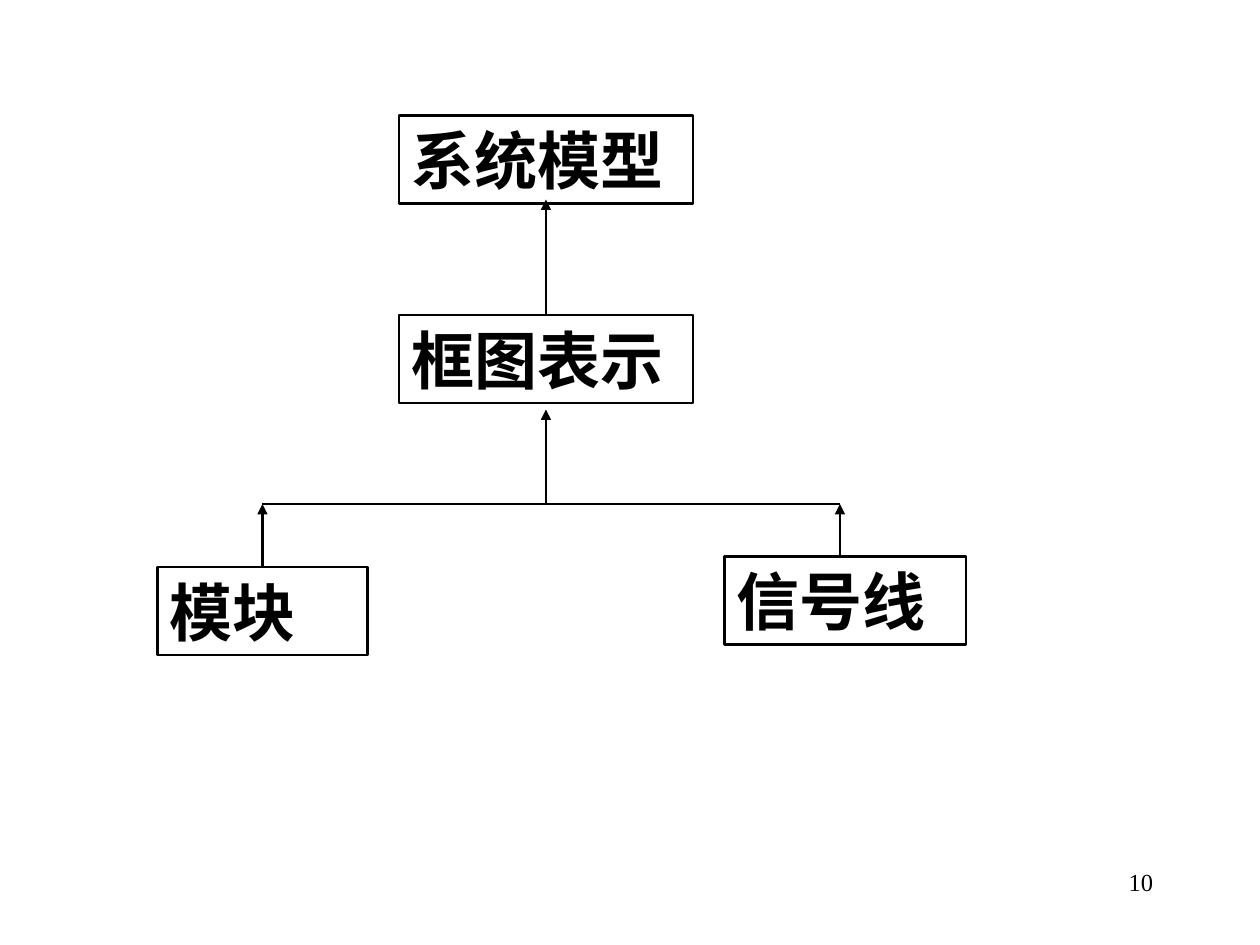
import pptx
import pptx.dml.color
import pptx.enum.shapes
import pptx.enum.text
import pptx.oxml
import pptx.util
from dataclasses import dataclass

Pt = pptx.util.Pt
ALIGN = pptx.enum.text.PP_ALIGN
TOP, BOTTOM = 0, 2


@dataclass(frozen=True)
class Theme:
    ink: pptx.dml.color.RGBColor = pptx.dml.color.RGBColor(0, 0, 0)
    font: str = "Times New Roman"
    node_size: float = 36
    number_size: float = 14
    line_width: float = 1.25
    node_height: float = 50.4


THEME = Theme()


def write(shape, text, size, bold=False, align=ALIGN.LEFT):
    frame = shape.text_frame
    frame.word_wrap = True
    frame.vertical_anchor = pptx.enum.text.MSO_ANCHOR.TOP
    paragraph = frame.paragraphs[0]
    paragraph.alignment = align
    run = paragraph.add_run()
    run.text = text
    run.font.name = THEME.font
    run.font.size = Pt(size)
    run.font.bold = bold
    run.font.color.rgb = THEME.ink


def add_node(slide, text, left, top, width):
    node = slide.shapes.add_shape(
        pptx.enum.shapes.MSO_SHAPE.RECTANGLE,
        Pt(left), Pt(top), Pt(width), Pt(THEME.node_height))
    node.shadow.inherit = False
    node.fill.background()
    node.line.color.rgb = THEME.ink
    node.line.width = Pt(THEME.line_width)
    write(node, text, THEME.node_size, bold=True)
    node.text_frame.auto_size = pptx.enum.text.MSO_AUTO_SIZE.SHAPE_TO_FIT_TEXT
    return node


def add_line(slide, start, end, arrow=True):
    line = slide.shapes.add_connector(
        pptx.enum.shapes.MSO_CONNECTOR.STRAIGHT,
        *(Pt(value) for value in (*start, *end)))
    line.line.color.rgb = THEME.ink
    line.line.width = Pt(THEME.line_width)
    if arrow:
        tail = pptx.oxml.parse_xml(
            '<a:tailEnd xmlns:a="http://schemas.openxmlformats.org/'
            'drawingml/2006/main" type="triangle"/>')
        line.line._get_or_add_ln().append(tail)
    line._element.spPr.append(pptx.oxml.parse_xml(
        '<a:effectLst xmlns:a="http://schemas.openxmlformats.org/'
        'drawingml/2006/main"/>'))
    return line


def add_hierarchy(slide, left, top):
    # Nodes
    trunk_x, bus_y = left + 222, top + 222
    module_x, signal_x = left + 60, left + 390
    add_node(slide, "系统模型", left + 138, top, 168)
    diagram = add_node(slide, "框图表示", left + 138, top + 114, 168)
    module = add_node(slide, "模块", left, top + 258, 120)
    add_node(slide, "信号线", left + 324, top + 252, 138)

    # Branches rising to the shared bus
    module_arrow = add_line(slide, (module_x, top + 258), (module_x, bus_y))
    module_arrow.begin_connect(module, TOP)
    add_line(slide, (signal_x, top + 252), (signal_x, bus_y))
    add_line(slide, (module_x, bus_y), (signal_x, bus_y), arrow=False)

    # Trunk from the bus to the system model
    add_line(slide, (trunk_x, bus_y), (trunk_x, top + 168))
    diagram_arrow = add_line(slide, (trunk_x, top + 114), (trunk_x, top + 48))
    diagram_arrow.begin_connect(diagram, TOP)


def add_page_number(slide, left, top, width, height):
    number = slide.shapes.add_textbox(Pt(left), Pt(top), Pt(width), Pt(height))
    write(number, "10", THEME.number_size, align=ALIGN.RIGHT)


def main():
    deck = pptx.Presentation()
    deck.slide_width, deck.slide_height = Pt(720), Pt(540)
    slide = deck.slides.add_slide(deck.slide_layouts[6])
    add_page_number(slide, 516, 492, 150, 36)
    add_hierarchy(slide, 90, 66)
    deck.save("out.pptx")


if __name__ == "__main__":
    main()
